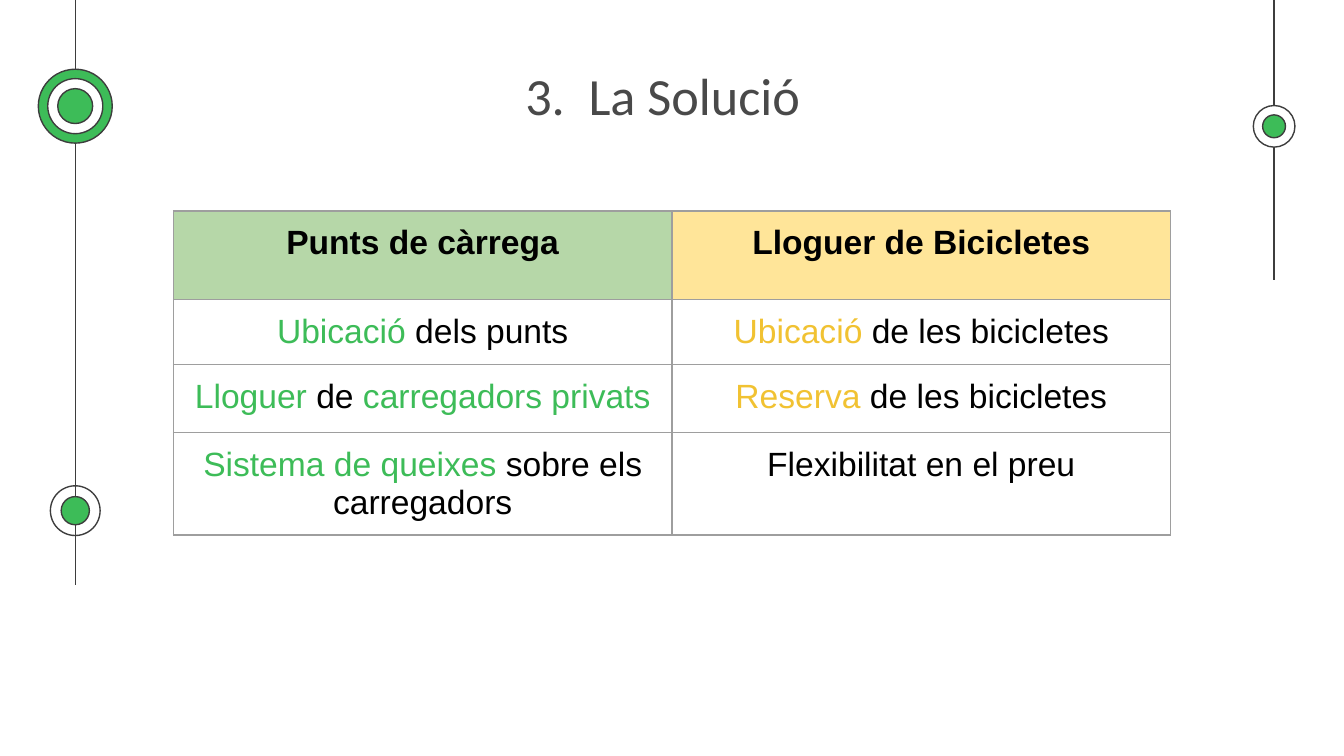
from typing import NamedTuple

import pptx
import pptx.dml.color
import pptx.enum.shapes
import pptx.enum.text
import pptx.oxml
import pptx.oxml.ns
import pptx.util
from pptx.util import Inches

GREEN, YELLOW, BLACK, WHITE = "3DBC58", "F1C232", "000000", "FFFFFF"
INK, TITLE_GREY, BORDER_GREY = "3D3D3D", "494949", "9E9E9E"
HEADER_GREEN, HEADER_YELLOW = "B6D7A8", "FFE599"
CENTER = pptx.enum.text.PP_ALIGN.CENTER
SLIDE_WIDTH = Inches(10)
SLIDE_HEIGHT = SLIDE_WIDTH * 9 // 16
LEFT_X, RIGHT_X = 0.56, 9.48
MARGINS = {f"margin_{side}": Inches(0.1) for side in ("left", "right", "top", "bottom")}


class Stem(NamedTuple):
    x: float
    bottom: float


class Disc(NamedTuple):
    x: float
    y: float
    diameter: float
    fill: str | None


class Span(NamedTuple):
    text: str
    color: str = BLACK
    bold: bool = False


class Entry(NamedTuple):
    spans: list[Span]
    fill: str | None = None


STEMS = [Stem(LEFT_X, 4.35), Stem(RIGHT_X, 2.08)]
DISCS = [
    Disc(LEFT_X, 3.8, 0.37, None),
    Disc(LEFT_X, 3.8, 0.21, GREEN),
    Disc(RIGHT_X, 0.94, 0.31, WHITE),
    Disc(RIGHT_X, 0.94, 0.17, GREEN),
    Disc(LEFT_X, 0.79, 0.55, GREEN),
    Disc(LEFT_X, 0.79, 0.41, WHITE),
    Disc(LEFT_X, 0.79, 0.26, GREEN),
]
COLUMN_WIDTH = 3.71
ROW_HEIGHTS = [0.66, 0.48, 0.51, 0.76]
ENTRIES = [
    [Entry([Span("Punts de càrrega", bold=True)], HEADER_GREEN),
     Entry([Span("Lloguer de Bicicletes", bold=True)], HEADER_YELLOW)],
    [Entry([Span("Ubicació", GREEN), Span(" dels punts")]),
     Entry([Span("Ubicació", YELLOW), Span(" de les bicicletes")])],
    [Entry([Span("Lloguer", GREEN), Span(" de "), Span("carregadors privats", GREEN)]),
     Entry([Span("Reserva", YELLOW), Span(" de les bicicletes")])],
    [Entry([Span("Sistema de queixes ", GREEN), Span("sobre els carregadors")]),
     Entry([Span("Flexibilitat en el preu")])],
]


def rgb(color: str) -> pptx.dml.color.RGBColor:
    return pptx.dml.color.RGBColor.from_string(color)


def apply(target, values: dict) -> None:
    for name, value in values.items():
        setattr(target, name, value)


def paint(fill, color: str | None) -> None:
    if color is None:
        fill.background()
    else:
        fill.solid()
        fill.fore_color.rgb = rgb(color)


def outline(shape) -> None:
    shape.line.color.rgb = rgb(INK)
    shape.line.width = pptx.util.Pt(0.75)


def draw_stem(page, stem: Stem) -> None:
    line = page.shapes.add_connector(
        pptx.enum.shapes.MSO_CONNECTOR.STRAIGHT,
        Inches(stem.x), Inches(0), Inches(stem.x), Inches(stem.bottom))
    outline(line)
    properties = line._element.spPr
    properties.append(properties.makeelement(pptx.oxml.ns.qn("a:effectLst"), {}))


def draw_disc(page, disc: Disc) -> None:
    size = Inches(disc.diameter)
    oval = page.shapes.add_shape(
        pptx.enum.shapes.MSO_SHAPE.OVAL,
        Inches(disc.x) - size // 2, Inches(disc.y) - size // 2, size, size)
    oval.shadow.inherit = False
    paint(oval.fill, disc.fill)
    outline(oval)


def write(para, spans: list[Span], font: str, size: float) -> None:
    para.alignment = CENTER
    for span in spans:
        run = para.add_run()
        run.text = span.text
        apply(run.font, {"name": font, "size": pptx.util.Pt(size), "bold": span.bold})
        run.font.color.rgb = rgb(span.color)


def add_borders(cell) -> None:
    properties = cell._tc.get_or_add_tcPr()
    for side in ("lnL", "lnR", "lnT", "lnB"):
        properties.append(pptx.oxml.parse_xml(
            f'<a:{side} {pptx.oxml.ns.nsdecls("a")} w="9525"><a:solidFill>'
            f'<a:srgbClr val="{BORDER_GREY}"/></a:solidFill></a:{side}>'))


def draw_table(page) -> None:
    column_count = len(ENTRIES[0])
    frame = page.shapes.add_table(
        len(ENTRIES), column_count, Inches(1.29), Inches(1.57),
        Inches(COLUMN_WIDTH * column_count), Inches(sum(ROW_HEIGHTS)))
    table = frame.table
    apply(table, {"first_row": False, "horz_banding": False})
    for column in table.columns:
        column.width = Inches(COLUMN_WIDTH)
    for row, height, entries in zip(table.rows, ROW_HEIGHTS, ENTRIES):
        row.height = Inches(height)
        for cell, entry in zip(row.cells, entries):
            apply(cell, MARGINS)
            add_borders(cell)
            paint(cell.fill, entry.fill)
            write(cell.text_frame.paragraphs[0], entry.spans, "Arial", 18)


def draw_title(page) -> None:
    box = page.shapes.add_textbox(Inches(1.88), Inches(0.37), Inches(6.1), Inches(0.65))
    apply(box.text_frame, {**MARGINS, "word_wrap": True,
                           "vertical_anchor": pptx.enum.text.MSO_ANCHOR.TOP})
    write(box.text_frame.paragraphs[0], [Span("3.  La Solució", TITLE_GREY)], "Calibri", 28)


def main() -> None:
    deck = pptx.Presentation()
    apply(deck, {"slide_width": SLIDE_WIDTH, "slide_height": SLIDE_HEIGHT})
    page = deck.slides.add_slide(deck.slide_layouts[6])
    paint(page.background.fill, WHITE)

    # Side decorations
    for stem in STEMS:
        draw_stem(page, stem)
    for disc in DISCS:
        draw_disc(page, disc)

    # Content
    draw_table(page)
    draw_title(page)
    deck.save("out.pptx")


if __name__ == "__main__":
    main()
